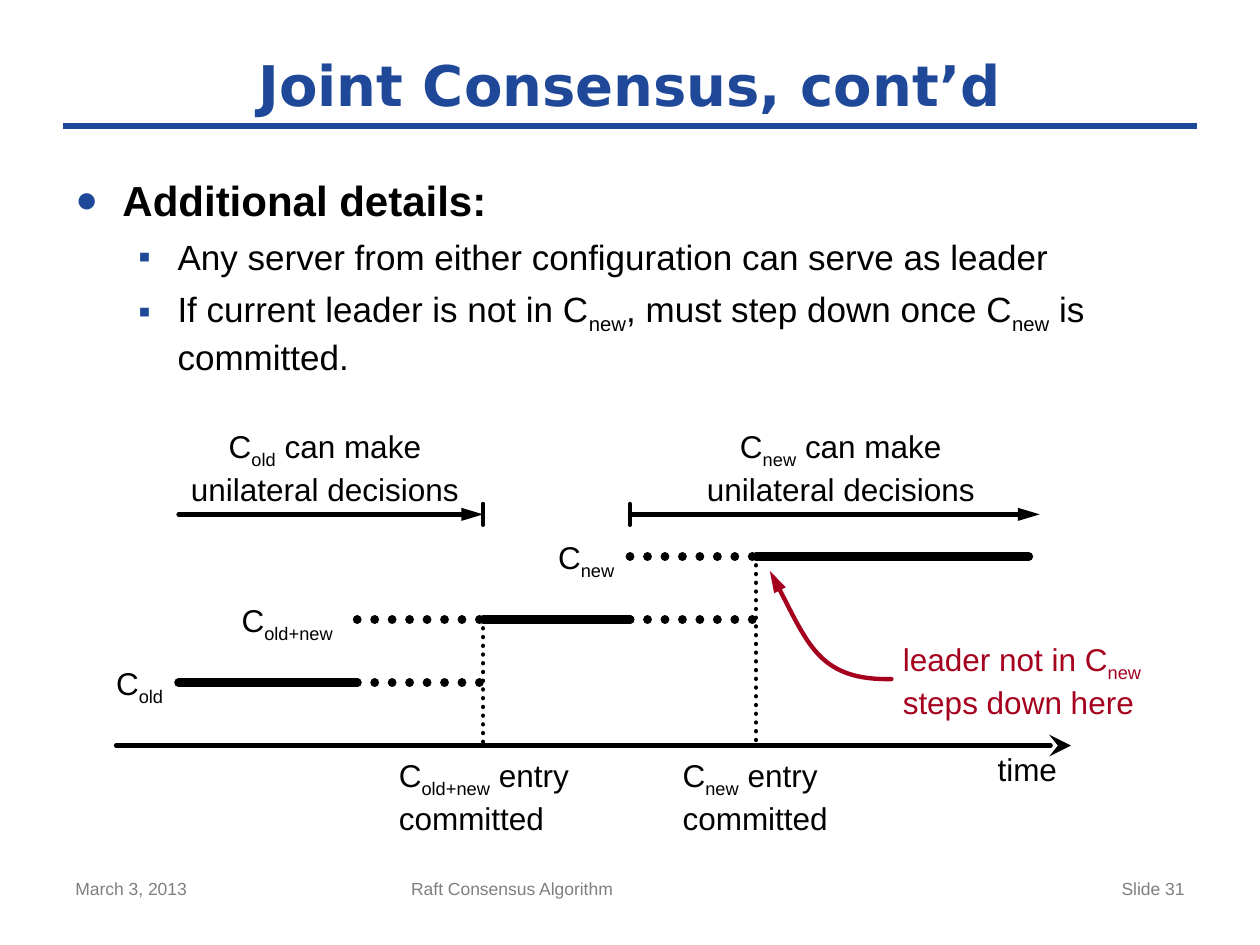
"""Build the joint consensus timeline slide."""
from dataclasses import dataclass

from lxml import etree
from pptx import Presentation
from pptx import util as u
from pptx.dml.color import RGBColor
from pptx.enum import dml, shapes, text
from pptx.oxml import ns

Cm, Pt = u.Cm, u.Pt
AL = text.PP_ALIGN


@dataclass(frozen=True)
class Theme:
    blue: str = "1F4899"
    black: str = "000000"
    red: str = "A5001E"
    gray: str = "7F7F7F"
    body_font: str = "Arial"
    title_font: str = "DejaVu Sans"
    title: int = 32
    heading: int = 24
    bullet: int = 20
    label: int = 18
    footer: int = 10
    rule: float = 4
    bar: float = 5
    thin: float = 2.5


T = Theme()


def sub(parent, tag, **attrs):
    return etree.SubElement(parent, ns.qn(tag), attrs)


def write(p, content, size=T.label, color=T.black, font=T.body_font,
          bold=False, align=AL.LEFT):
    """Write content into a paragraph; _text_ becomes a subscript."""
    p.alignment = align
    for i, part in enumerate(content.split("_")):
        if part:
            r = p.add_run()
            r.text = part
            r.font.size, r.font.name, r.font.bold = Pt(size), font, bold
            r.font.color.rgb = RGBColor.from_string(color)
            if i % 2:
                r.font._element.set("baseline", "-25000")


class Slide:
    def __init__(self, prs, theme):
        self.t = theme
        self.s = prs.slides.add_slide(prs.slide_layouts[5])

    def title(self, content, x, y, w, h):
        sp = self.s.shapes.title
        sp.left, sp.top, sp.width, sp.height = Cm(x), Cm(y), Cm(w), Cm(h)
        tf = sp.text_frame
        tf.auto_size = text.MSO_AUTO_SIZE.NONE
        tf.vertical_anchor = text.MSO_ANCHOR.MIDDLE
        write(tf.paragraphs[0], content, self.t.title, self.t.blue,
              self.t.title_font, True, AL.CENTER)

    def box(self, x, y, w, h):
        tf = self.s.shapes.add_textbox(Cm(x), Cm(y), Cm(w), Cm(h)).text_frame
        tf.word_wrap = True
        return tf

    def label(self, lines, x, y, w, **fmt):
        tf = self.box(x, y, w, 0.77 * len(lines))
        tf.margin_left = tf.margin_right = tf.margin_top = tf.margin_bottom = 0
        tf.word_wrap = False
        tf.auto_size = text.MSO_AUTO_SIZE.SHAPE_TO_FIT_TEXT
        for i, line in enumerate(lines):
            write(tf.add_paragraph() if i else tf.paragraphs[0], line, **fmt)

    def bullets(self, items, x, y, w, h):
        styles = [("●", 90, 0.95, 0.95, 12, self.t.heading),
                  ("▪", 100, 2.06, 0.79, 6, self.t.bullet)]
        tf = self.box(x, y, w, h)
        for i, (level, content) in enumerate(items):
            char, scale, indent, hang, before, size = styles[level]
            p = tf.add_paragraph() if i else tf.paragraphs[0]
            p.level, p.space_before = level, Pt(before)
            write(p, content, size, bold=level == 0)
            pr = p._p.get_or_add_pPr()
            pr.set("marL", str(Cm(indent)))
            pr.set("indent", str(-Cm(hang)))
            sub(sub(pr, "a:buClr"), "a:srgbClr", val=self.t.blue)
            sub(pr, "a:buSzPct", val=str(scale * 1000))
            sub(pr, "a:buFont", typeface=self.t.body_font)
            sub(pr, "a:buChar", char=char)

    def stroke(self, sp, width, color, dotted=False, head=None, head_width="med",
               cap="rnd"):
        sp.line.width = Pt(width)
        sp.line.color.rgb = RGBColor.from_string(color)
        if dotted:
            sp.line.dash_style = dml.MSO_LINE.ROUND_DOT
        ln = sp.line._get_or_add_ln()
        ln.set("cap", cap)
        sub(ln, "a:round")
        if head:
            sub(ln, "a:tailEnd", type=head, w=head_width, len="lg")

    def line(self, x1, y1, x2, y2, width=T.thin, color=T.black, **fmt):
        sp = self.s.shapes.add_connector(
            shapes.MSO_CONNECTOR.STRAIGHT, Cm(x1), Cm(y1), Cm(x2), Cm(y2))
        self.stroke(sp, width, color, **fmt)
        sub(sp._element.spPr, "a:effectLst")

    def curve(self, start, *controls, color):
        fb = self.s.shapes.build_freeform(Cm(start[0]), Cm(start[1]))
        fb.add_line_segments([(Cm(x), Cm(y)) for x, y in controls], close=False)
        sp = fb.convert_to_shape()
        segments = list(sp._element.iter(ns.qn("a:lnTo")))
        bezier = sub(segments[0].getparent(), "a:cubicBezTo")
        for segment in segments:
            bezier.append(segment[0])
            segment.getparent().remove(segment)
        sp.fill.background()
        sp.shadow.inherit = False
        self.stroke(sp, self.t.thin, color, head="triangle")


prs = Presentation()
prs.slide_width, prs.slide_height = Cm(25.4), Cm(19.05)
s = Slide(prs, T)

s.title("Joint Consensus, cont’d", 1.27, 0.85, 22.86, 1.69)
s.line(1.27, 2.54, 24.13, 2.54, T.rule, T.blue, cap="flat")
s.bullets([
    (0, "Additional details:"),
    (1, "Any server from either configuration can serve as leader"),
    (1, "If current leader is not in C_new_, must step down once C_new_ is committed."),
], 1.27, 3.39, 22.86, 13.63)

for content, x, w, align in [("March 3, 2013", 1.27, 5.93, AL.LEFT),
                             ("Raft Consensus Algorithm", 8.04, 9.53, AL.LEFT),
                             ("Slide 31", 18.2, 5.93, AL.RIGHT)]:
    write(s.box(x, 17.57, w, 1.1).paragraphs[0], content, T.footer, T.gray,
          align=align)

begin, joint, old_commit, new_start, new_commit, end = 3.6, 7.2, 9.74, 12.7, 15.24, 20.74
span_y, new_y, joint_y, old_y, axis_y = 10.37, 11.22, 12.49, 13.76, 15.03

s.line(2.34, axis_y, 21.59, axis_y, head="stealth", head_width="lg")
s.label(["time"], 20.11, 15.11, 1.22)

for x, y, name, label_x, w in [(old_commit, joint_y, "old+new", 8.04, 3.66),
                               (new_commit, new_y, "new", 13.76, 2.95)]:
    s.line(x, y, x, axis_y, dotted=True)
    s.label([f"C_{name}_ entry", "committed"], label_x, 15.24, w)

for name, x, y, w in [("old", 2.34, old_y, 1.02), ("old+new", 4.87, joint_y, 2.06),
                      ("new", 11.25, new_y, 1.24)]:
    s.label([f"C_{name}_"], x, y - 0.38, w)

for x1, x2, y, dotted in [(begin, joint, old_y, False),
                          (joint, old_commit, old_y, True),
                          (joint, old_commit, joint_y, True),
                          (old_commit, new_start, joint_y, False),
                          (new_start, new_commit, joint_y, True),
                          (new_start, new_commit, new_y, True),
                          (new_commit, end, new_y, False)]:
    s.line(x1, y, x2, y, T.bar, dotted=dotted)

for name, x1, x2, stop, label_x in [("old", begin, old_commit, old_commit, 3.82),
                                    ("new", new_start, 20.96, new_start, 14.22)]:
    s.line(x1, span_y, x2, span_y, head="triangle")
    s.line(stop, span_y - 0.21, stop, span_y + 0.21)
    s.label([f"C_{name}_ can make", "unilateral decisions"], label_x, 8.61, 5.46,
            align=AL.CENTER)

s.label(["leader not in C_new_", "steps down here"], 18.2, 12.91, 4.95, color=T.red)
s.curve((17.97, 13.69), (16.54, 13.72), (16.23, 12.85), (15.52, 11.51), color=T.red)

prs.save("out.pptx")
